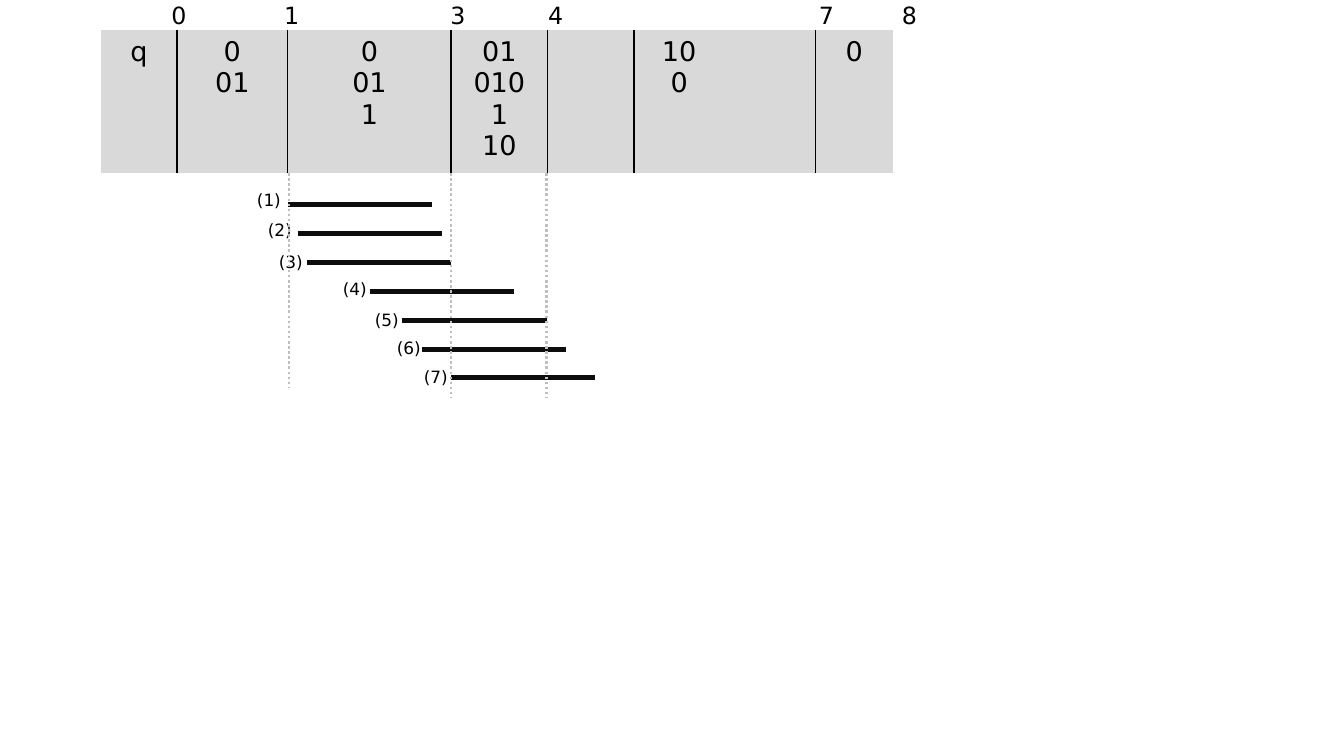
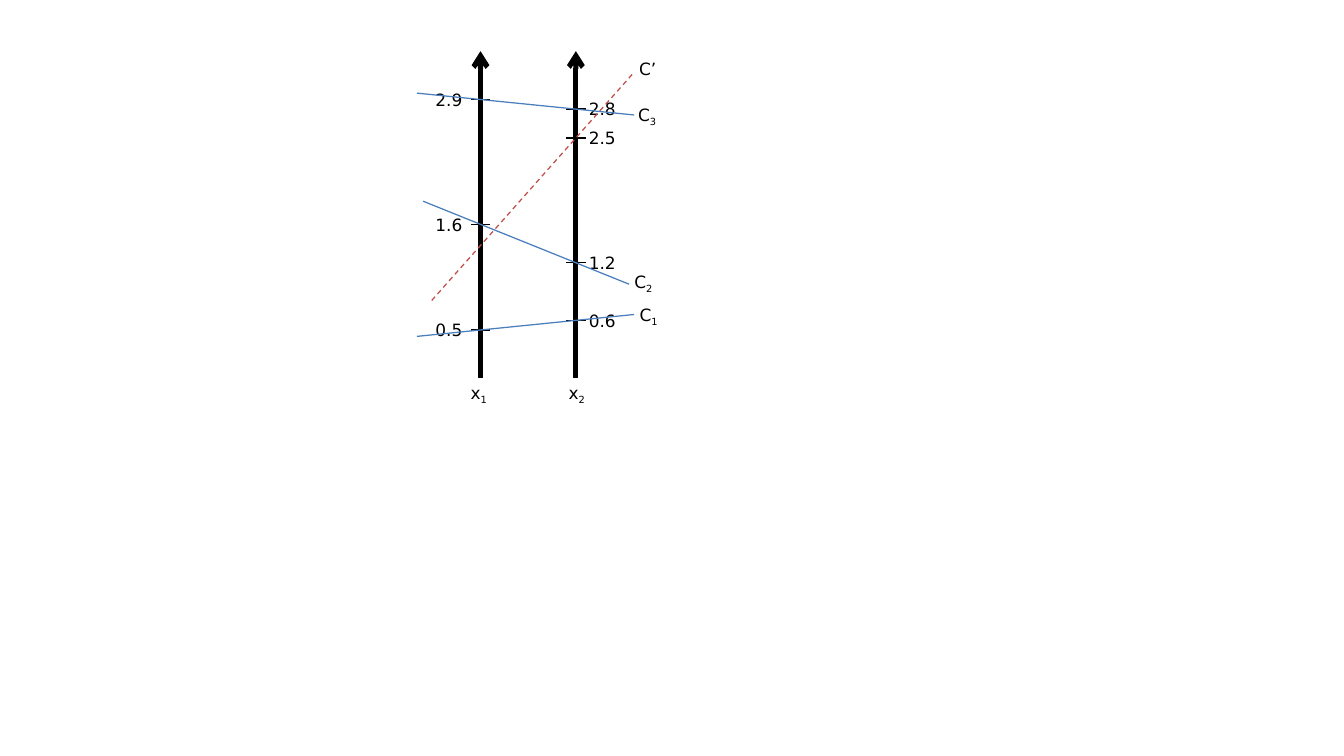
"""Builds two diagrams: a segmented table with intervals, and two parallel axes."""
from lxml import etree
from pptx import Presentation
from pptx.dml.color import RGBColor
from pptx.enum import dml, shapes, text
from pptx.oxml import ns
from pptx.util import Pt

FONT = "DejaVu Sans"
BLACK = RGBColor(0, 0, 0)
BAR = RGBColor(0x0D, 0x0D, 0x0D)
CELL = RGBColor(0xD9, 0xD9, 0xD9)
GUIDE = RGBColor(0xBF, 0xBF, 0xBF)
BLUE = RGBColor(0x4B, 0x7E, 0xBC)
RED = RGBColor(0xC0, 0x50, 0x4D)
NO_GRID = "{2D5ABB26-0587-4C30-8999-92F81FD0307C}"

COLUMNS = [("q", 44.6), ("0\n01", 65.5), ("0\n01\n1", 96.5), ("01\n010\n1\n10", 56.9),
           ("", 51.1), ("10\n0", 53.3), ("", 54), ("0", 45.4)]
DIVIDERS = (1, 2, 3, 4, 7)
TABLE_LEFT, TABLE_TOP, TABLE_HEIGHT = 59.8, 18, 84.24
OFFSETS = [("0", 105.6), ("1", 172.3), ("3", 270.3), ("4", 328.1), ("7", 488), ("8", 537)]
INTERVALS = [(170, 158.8, 118), (175.7, 165.2, 135.7), (181.4, 171.7, 154.5),
             (218.2, 209.5, 170.5), (237.6, 228.4, 188.8), (249.1, 241.4, 205.3),
             (266.4, 257.3, 222.4)]
BAR_TOP, BAR_STEP, BAR_LENGTH = 121, 17.03, 85.1
GUIDES = [(266.4, 234.7), (322.6, 234.7), (170.6, 229)]

AXES = [("x_1", 283.7, 282.7, 265, (0.5, 1.6, 2.9)),
        ("x_2", 340, 340.5, 355.6, (0.6, 1.2, 2.5, 2.8))]
AXIS_BOTTOM, AXIS_TOP, UNIT, TICK = 223.2, 30.2, 56.7, 5.7
CURVES = [("C_3", (2.9, 2.8), (246.2, 374.4), (382.1, 68.4), BLUE, None),
          ("C_2", (1.6, 1.2), (249.8, 371.5), (379.8, 167.2), BLUE, None),
          ("C_1", (0.5, 0.6), (246.2, 374.4), (383, 186.5), BLUE, None),
          ("C’", (1.38, 2.5), (254.9, 374.4), (382.4, 40.4), RED, dml.MSO_LINE.DASH)]


def write(tf, content, size=10):
    """Fill a text frame with centred lines; an underscore starts a subscript."""
    for i, row in enumerate(content.split("\n")):
        p = tf.paragraphs[0] if i == 0 else tf.add_paragraph()
        p.alignment = text.PP_ALIGN.CENTER
        for j, part in enumerate(row.split("_")):
            r = p.add_run()
            r.text = part
            r.font.name, r.font.size, r.font.color.rgb = FONT, Pt(size), BLACK
            if j:
                r._r.get_or_add_rPr().set("baseline", "-25000")


def label(s, content, cx, cy, size=10):
    """Add a text box centred on a point."""
    w, h = 36, 20
    tf = s.shapes.add_textbox(Pt(cx - w / 2), Pt(cy - h / 2), Pt(w), Pt(h)).text_frame
    tf.word_wrap = True
    tf.margin_left = tf.margin_right = tf.margin_top = tf.margin_bottom = 0
    tf.vertical_anchor = text.MSO_ANCHOR.MIDDLE
    write(tf, content, size)


def line(s, start, end, color, width, dash=None, arrow=False):
    """Add a straight line between two points."""
    c = s.shapes.add_connector(shapes.MSO_CONNECTOR.STRAIGHT, *map(Pt, start + end))
    c.line.color.rgb, c.line.width = color, Pt(width)
    if dash:
        c.line.dash_style = dash
    if arrow:
        etree.SubElement(c.line._get_or_add_ln(), ns.qn("a:tailEnd"), type="arrow")
    etree.SubElement(c._element.spPr, ns.qn("a:effectLst"))


def border(cell, side):
    """Draw a thin black border on one side of a cell."""
    ln = etree.SubElement(cell._tc.get_or_add_tcPr(), ns.qn("a:" + side), w=str(Pt(1)))
    fill = etree.SubElement(ln, ns.qn("a:solidFill"))
    etree.SubElement(fill, ns.qn("a:srgbClr"), val=str(BLACK))


def segment_table(s):
    """Add the one-row table of segments."""
    width = sum(w for _, w in COLUMNS)
    table = s.shapes.add_table(1, len(COLUMNS), Pt(TABLE_LEFT), Pt(TABLE_TOP),
                               Pt(width), Pt(TABLE_HEIGHT)).table
    table.first_row = table.horz_banding = False
    table._tbl.tblPr.find(ns.qn("a:tableStyleId")).text = NO_GRID
    for i, (content, w) in enumerate(COLUMNS):
        table.columns[i].width = Pt(w)
        cell = table.cell(0, i)
        if i in DIVIDERS:
            border(cell, "lnL")
        if i + 1 in DIVIDERS:
            border(cell, "lnR")
        cell.fill.solid()
        cell.fill.fore_color.rgb = CELL
        if content:
            write(cell.text_frame, content, size=16)


def interval_slide(s):
    """Draw the table, its offsets and the numbered intervals."""
    segment_table(s)
    for content, x in OFFSETS:
        label(s, content, x, 8.9, size=14)
    for i, (x, cx, cy) in enumerate(INTERVALS):
        y = BAR_TOP + i * BAR_STEP
        label(s, f"({i + 1})", cx, cy)
        line(s, (x, y), (x + BAR_LENGTH, y), BAR, 3)
    for x, bottom in GUIDES:
        line(s, (x, TABLE_TOP + TABLE_HEIGHT), (x, bottom), GUIDE, 1.5,
             dash=dml.MSO_LINE.ROUND_DOT)


def height(value):
    """Return the vertical position of an axis value."""
    return AXIS_BOTTOM - value * UNIT


def axes_slide(s):
    """Draw the two axes with ticks and the lines that cross them."""
    for name, x, name_x, value_x, values in AXES:
        line(s, (x, AXIS_BOTTOM), (x, AXIS_TOP), BLACK, 3, arrow=True)
        label(s, name, name_x, 232.6)
        for v in values:
            line(s, (x - TICK, height(v)), (x + TICK, height(v)), BLACK, 0.75)
            label(s, str(v), value_x, height(v))
    x1, x2 = (axis[1] for axis in AXES)
    for name, (v1, v2), ends, name_at, color, dash in CURVES:
        start, end = ((x, height(v1 + (v2 - v1) * (x - x1) / (x2 - x1))) for x in ends)
        line(s, start, end, color, 0.75, dash=dash)
        label(s, name, *name_at)


def main():
    """Build and save the presentation."""
    prs = Presentation()
    prs.slide_width, prs.slide_height = Pt(793.5), Pt(446.4)
    for draw in (interval_slide, axes_slide):
        draw(prs.slides.add_slide(prs.slide_layouts[6]))
    prs.save("out.pptx")


if __name__ == "__main__":
    main()
